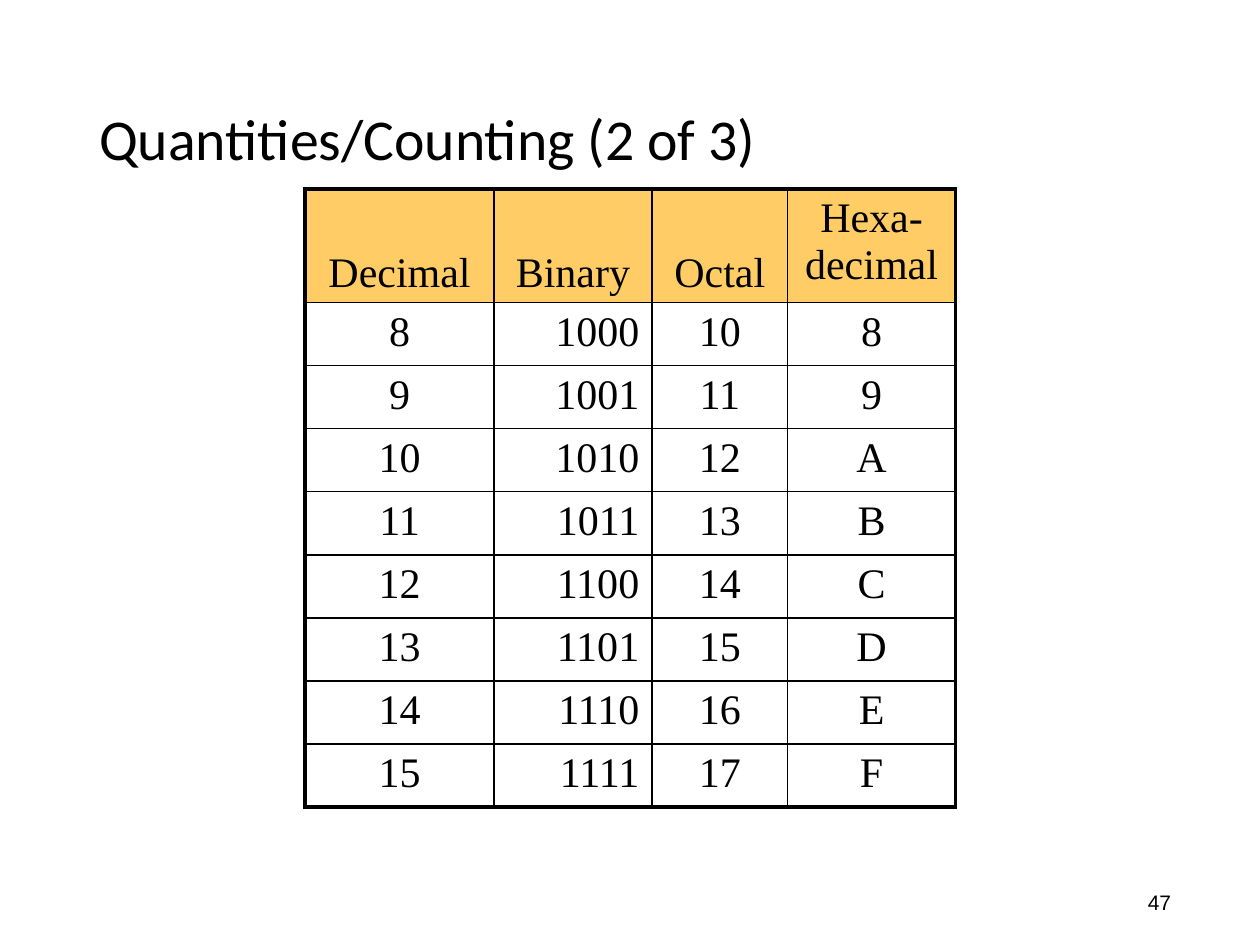
from dataclasses import dataclass
from typing import Any

from lxml import etree
from pptx import Presentation
from pptx import util as u
from pptx.dml import color
from pptx.enum import text
from pptx.oxml import ns

CENTER, RIGHT = text.PP_ALIGN.CENTER, text.PP_ALIGN.RIGHT
TOP, MIDDLE, BOTTOM = text.MSO_ANCHOR.TOP, text.MSO_ANCHOR.MIDDLE, text.MSO_ANCHOR.BOTTOM


def rgb(code):
    return color.RGBColor.from_string(code)


def write(frame, words, font, size, ink="000000", align=None, spacing=None):
    frame.text = words
    paragraph = frame.paragraphs[0]
    paragraph.alignment = align
    paragraph.line_spacing = spacing
    for run in paragraph.runs:
        run.font.name = font
        run.font.size = u.Pt(size)
        run.font.color.rgb = rgb(ink)


def add_border(cell, side, width, ink):
    line = etree.SubElement(cell._tc.get_or_add_tcPr(), ns.qn(f"a:ln{side}"), w=str(u.Pt(width)))
    fill = etree.SubElement(line, ns.qn("a:solidFill"))
    etree.SubElement(fill, ns.qn("a:srgbClr"), val=ink)


@dataclass
class CountingSlide:
    """Draws the counting table and its captions in one style."""

    slide: Any
    table_font: str = "Times New Roman"
    table_size: int = 24
    ink: str = "000000"
    header_fill: str = "FFCC66"
    outer: float = 2.25
    inner: float = 1

    def label(self, words, box, font, size, anchor=TOP, wrap=True, **style):
        frame = self.slide.shapes.add_textbox(*map(u.Cm, box)).text_frame
        frame.word_wrap = wrap
        frame.vertical_anchor = anchor
        write(frame, words, font, size, self.ink, **style)

    def table(self, rows, left, top, widths, heights, aligns, header_anchors):
        grid = self.slide.shapes.add_table(
            len(rows), len(widths), u.Cm(left), u.Cm(top),
            u.Cm(sum(widths)), u.Cm(sum(heights))).table
        grid.first_row = grid.horz_banding = False
        for column, width in zip(grid.columns, widths):
            column.width = u.Cm(width)
        for row, height in zip(grid.rows, heights):
            row.height = u.Cm(height)
        for r, values in enumerate(rows):
            for c, value in enumerate(values):
                cell = grid.cell(r, c)
                edges = {"L": c == 0, "R": c == len(widths) - 1,
                         "T": r == 0, "B": r == len(rows) - 1}
                for side, is_outer in edges.items():
                    add_border(cell, side, self.outer if is_outer else self.inner, self.ink)
                if r == 0:
                    cell.fill.solid()
                    cell.fill.fore_color.rgb = rgb(self.header_fill)
                else:
                    cell.fill.background()
                cell.vertical_anchor = header_anchors[c] if r == 0 else TOP
                write(cell.text_frame, value, self.table_font, self.table_size, self.ink,
                      align=CENTER if r == 0 else aligns[c])


def main():
    deck = Presentation()
    deck.slide_width, deck.slide_height = u.Cm(25.4), u.Cm(19.05)
    page = CountingSlide(deck.slides.add_slide(deck.slide_layouts[6]))

    page.label("47", (22.89, 17.81, 1.02, 0.76), "Arial", 12, wrap=False)
    page.label("Quantities/Counting (2 of 3)", (1.75, 1.02, 21.9, 3.68),
               "Calibri", 33, anchor=MIDDLE, spacing=0.9)

    header = ["Decimal", "Binary", "Octal", "Hexa-\vdecimal"]
    counts = [[format(n, base) for base in "dboX"] for n in range(8, 16)]
    page.table([header] + counts, left=6.15, top=3.81,
               widths=[3.81, 3.18, 2.74, 3.38],
               heights=[2.29] + [1.26] * len(counts),
               aligns=[CENTER, RIGHT, CENTER, CENTER],
               header_anchors=[BOTTOM, BOTTOM, BOTTOM, TOP])

    deck.save("out.pptx")


if __name__ == "__main__":
    main()
